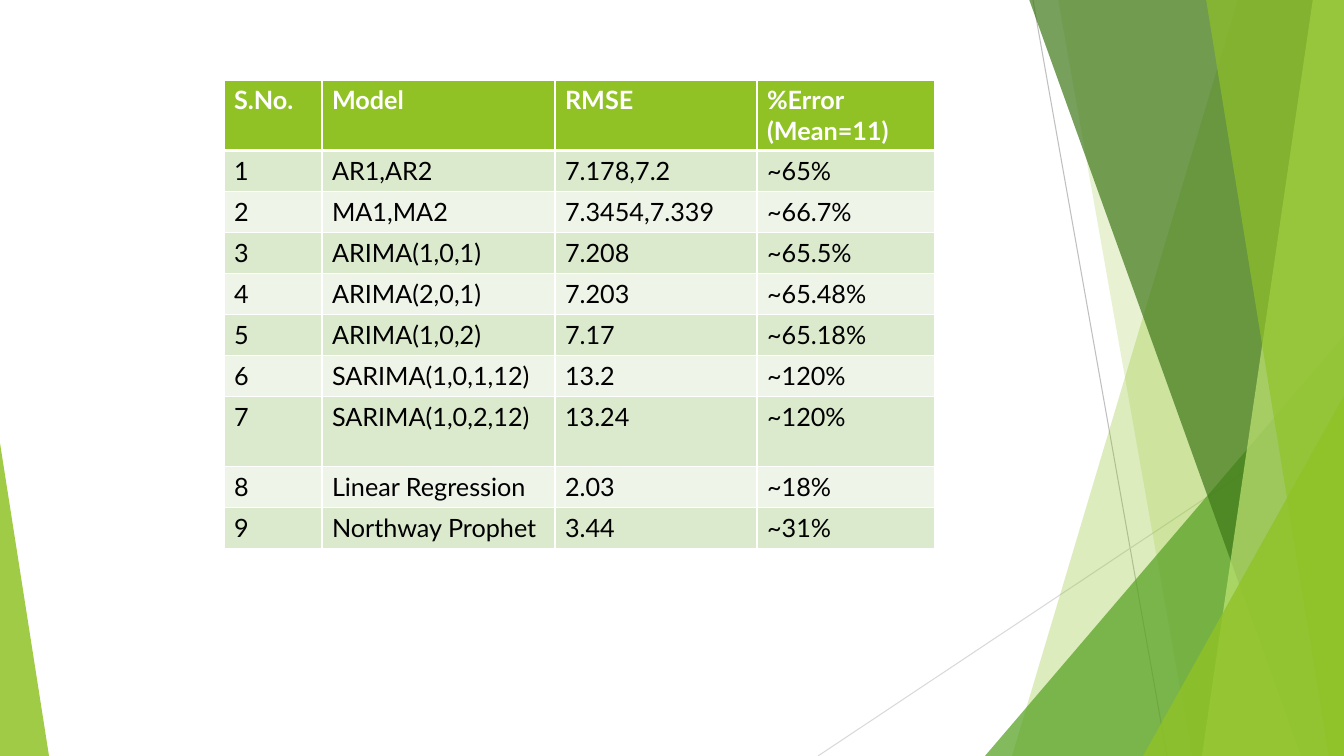
from lxml.etree import SubElement
from pptx import Presentation
from pptx.dml.color import RGBColor
from pptx.enum.shapes import MSO_CONNECTOR as CONN, MSO_SHAPE as SHAPE
from pptx.oxml import parse_xml
from pptx.oxml.ns import nsdecls, qn
from pptx.util import Emu, Pt

W, H = 1344, 756
SCALE = 914400 / 100.8


def px(n):
    return Emu(round(n * SCALE))


def rgb(h):
    return RGBColor.from_string(h)


prs = Presentation()
prs.slide_width, prs.slide_height = px(W), px(H)
s = prs.slides.add_slide(prs.slide_layouts[6])

for x1, y1, x2, y2, color in [(1033, 0, 1167, H, "BFBFBF"), (W, 406, 818, H, "D9D9D9")]:
    ln = s.shapes.add_connector(CONN.STRAIGHT, px(x1), px(y1), px(x2), px(y2))
    ln.line.color.rgb = rgb(color)
    ln.line.width = Pt(0.75)
    SubElement(ln._element.spPr, qn("a:effectLst"))

facets = [
    ("band", (1238, 1012), "90C226", 30),
    ("band", (1058, 1192), "90C226", 20),
    ("triangle", (985, 336, W, 1), "54A021", 72),
    ("band", (1029, 1301), "3F7819", 70),
    ("band", (1313, 1202), "C0E474", 70),
    ("band", (1206, 1329), "90C226", 65),
    ("triangle", (1143, 396, W, 1), "90C226", 80),
    ("triangle", (0, 443, 49, 0), "90C226", 85),
]
for kind, geometry, color, alpha in facets:
    if kind == "band":
        top_x, bottom_x = geometry
        fb = s.shapes.build_freeform(top_x, -1, scale=SCALE)
        fb.add_line_segments([(W, -1), (W, H), (bottom_x, H)], close=True)
        sp = fb.convert_to_shape()
    else:
        left, top, right, apex = geometry
        sp = s.shapes.add_shape(SHAPE.ISOSCELES_TRIANGLE, px(left), px(top), px(right - left), px(H - top))
        sp.adjustments[0] = apex
    sp.shadow.inherit = False
    sp.line.fill.background()
    sp.fill.solid()
    sp.fill.fore_color.rgb = rgb(color)
    clr = sp._element.spPr.find(qn("a:solidFill"))[0]
    SubElement(clr, qn("a:alpha"), val=str(alpha * 1000))

rows = [
    ("S.No.", "Model", "RMSE", "%Error\n(Mean=11)"),
    ("1", "AR1,AR2", "7.178,7.2", "~65%"),
    ("2", "MA1,MA2", "7.3454,7.339", "~66.7%"),
    ("3", "ARIMA(1,0,1)", "7.208", "~65.5%"),
    ("4", "ARIMA(2,0,1)", "7.203", "~65.48%"),
    ("5", "ARIMA(1,0,2)", "7.17", "~65.18%"),
    ("6", "SARIMA(1,0,1,12)", "13.2", "~120%"),
    ("7", "SARIMA(1,0,2,12)", "13.24", "~120%"),
    ("8", "Linear Regression", "2.03", "~18%"),
    ("9", "Northway Prophet", "3.44", "~31%"),
]
widths = [98, 233, 202, 178]
heights = [70] + [41] * 6 + [70] + [41] * 2
tbl = s.shapes.add_table(len(rows), len(widths), px(224), px(80), px(sum(widths)), px(sum(heights))).table
for col, w in zip(tbl.columns, widths):
    col.width = px(w)
for row, h in zip(tbl.rows, heights):
    row.height = px(h)

for i, values in enumerate(rows):
    header = i == 0
    fill = "90C226" if header else "DBE9CD" if i % 2 else "EEF4E8"
    for j, value in enumerate(values):
        cell = tbl.cell(i, j)
        cell.text = value
        cell.fill.solid()
        cell.fill.fore_color.rgb = rgb(fill)
        for p in cell.text_frame.paragraphs:
            p.font.name = "Lato"
            p.font.size = Pt(18)
            p.font.bold = header
            p.font.color.rgb = rgb("FFFFFF" if header else "000000")
        tcPr = cell._tc.get_or_add_tcPr()
        for k, side in enumerate("LRTB"):
            thick = (header and side == "B") or (i == 1 and side == "T")
            tcPr.insert(k, parse_xml(
                f'<a:ln{side} {nsdecls("a")} w="{Pt(3 if thick else 1)}">'
                '<a:solidFill><a:srgbClr val="FFFFFF"/></a:solidFill>'
                f'</a:ln{side}>'))

prs.save("out.pptx")
